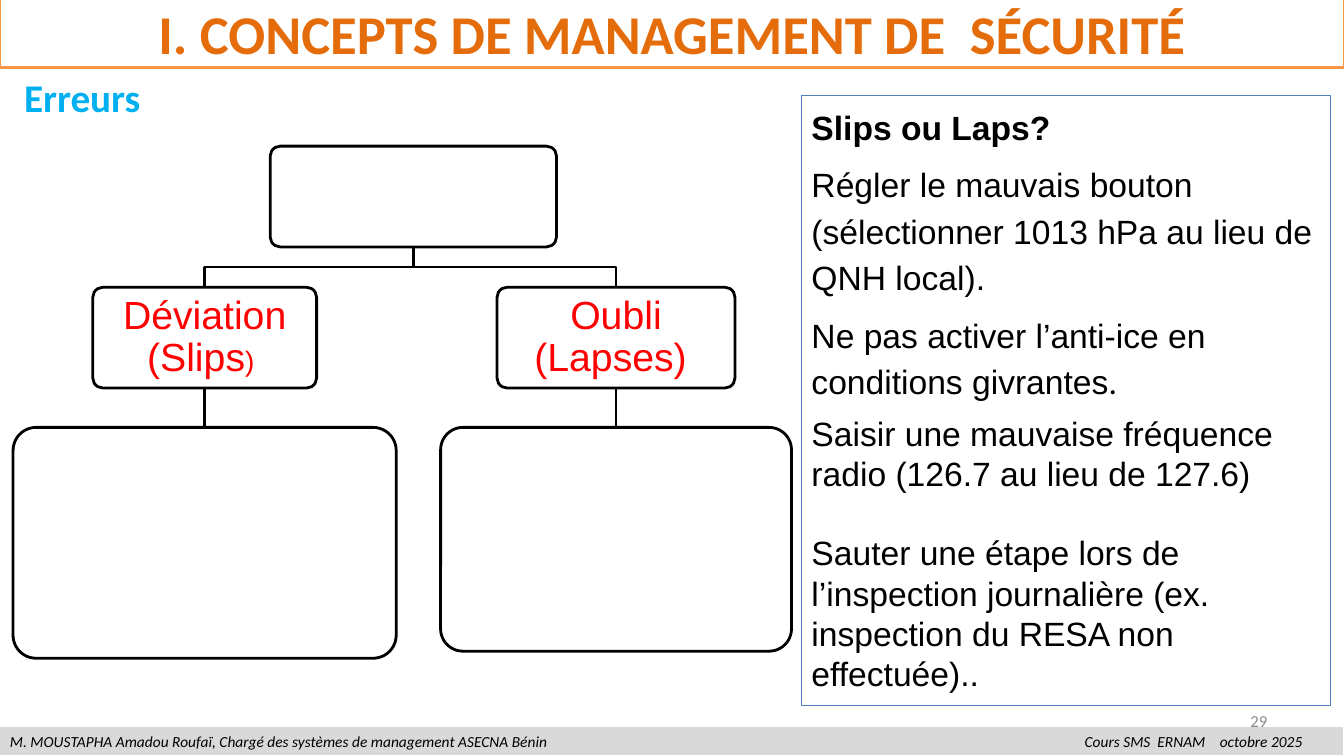
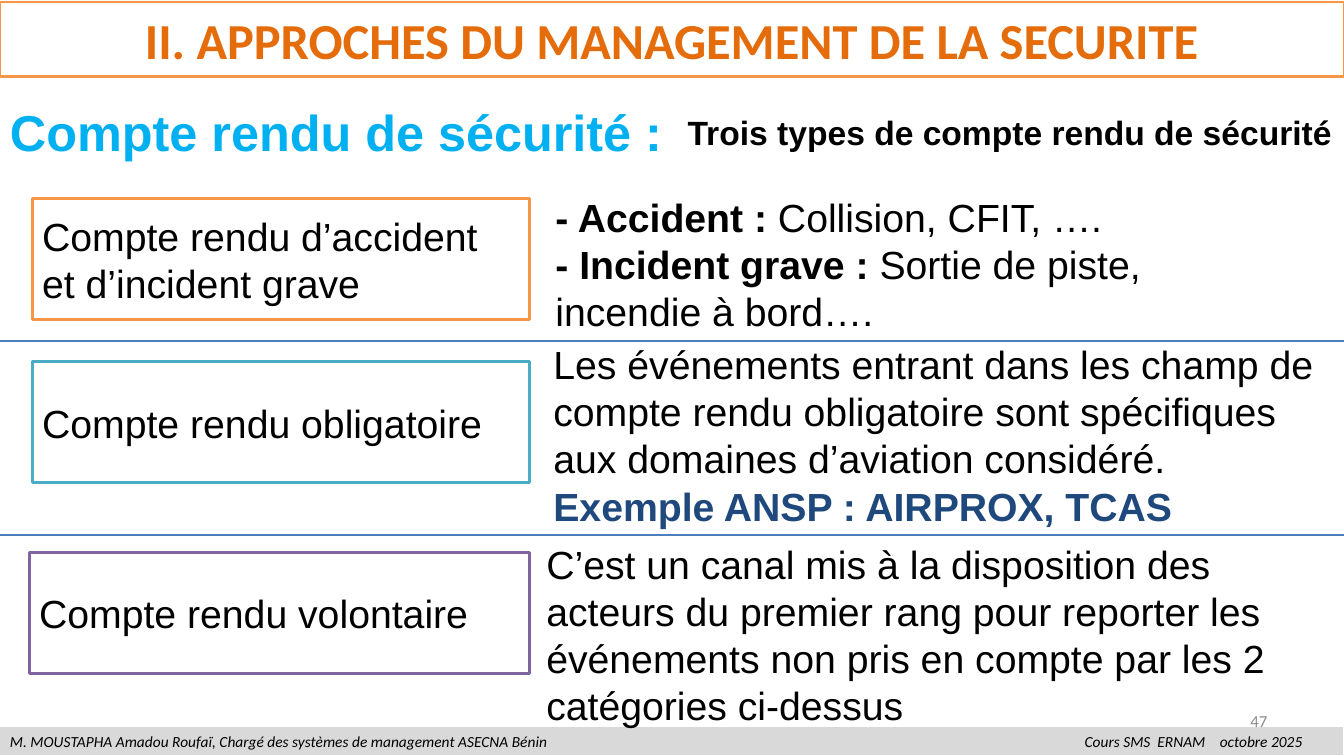
from lxml import etree
from pptx import Presentation
from pptx.dml.color import RGBColor
from pptx.enum import shapes, text
from pptx.oxml import ns
from pptx.util import Inches, Pt

COLOURS = {
    "white": "FFFFFF", "black": "000000", "band": "D9D9D9", "number": "8C8C8C",
    "title": "E46C0A", "orange": "F79646", "heading": "00B0F0", "red": "FF0000",
    "panel": "4F81BD", "divider": "4B7EBC", "teal": "4BACC6", "purple": "8064A2",
    "navy": "1F497D",
}
LEFT, CENTER, RIGHT = text.PP_ALIGN.LEFT, text.PP_ALIGN.CENTER, text.PP_ALIGN.RIGHT
TOP, MIDDLE = text.MSO_ANCHOR.TOP, text.MSO_ANCHOR.MIDDLE
RECT, ROUNDED = shapes.MSO_SHAPE.RECTANGLE, shapes.MSO_SHAPE.ROUNDED_RECTANGLE
WIDTH = 13.33


def colour(name):
    return RGBColor.from_string(COLOURS[name])


def write(box, paragraphs, size, font="Arial", color="black", bold=False,
          italic=False, align=LEFT, anchor=TOP, inset=None):
    frame = box.text_frame
    frame.word_wrap = True
    frame.auto_size = text.MSO_AUTO_SIZE.NONE
    frame.vertical_anchor = anchor
    if inset is not None:
        frame.margin_left = frame.margin_right = Inches(inset)
        frame.margin_top = frame.margin_bottom = Inches(inset)
    for index, runs in enumerate(paragraphs):
        para = frame.add_paragraph() if index else frame.paragraphs[0]
        para.alignment = align
        for words, changes in runs:
            span = para.add_run()
            span.text = words
            span.font.size = Pt(changes.get("size", size))
            span.font.name = changes.get("font", font)
            span.font.bold = changes.get("bold", bold)
            span.font.italic = italic
            span.font.color.rgb = colour(changes.get("color", color))
    return frame.paragraphs


def plain(words, **changes):
    return [(words, changes)]


def paint(box, fill, line, weight):
    if fill:
        box.fill.solid()
        box.fill.fore_color.rgb = colour(fill)
    else:
        box.fill.background()
    box.line.color.rgb = colour(line)
    box.line.width = Pt(weight)
    box.shadow.inherit = False


def add_box(page, place, line, weight=2, fill="white", kind=RECT):
    box = page.shapes.add_shape(kind, *map(Inches, place))
    paint(box, fill, line, weight)
    if kind == ROUNDED:
        box.adjustments[0] = 0.1
    return box


def add_text(page, place, paragraphs, size, **style):
    box = page.shapes.add_textbox(*map(Inches, place))
    return write(box, paragraphs, size, **style)


def add_line(page, start, end, line, weight):
    connector = page.shapes.add_connector(
        shapes.MSO_CONNECTOR.STRAIGHT, *map(Inches, start + end))
    connector.line.color.rgb = colour(line)
    connector.line.width = Pt(weight)
    etree.SubElement(connector._element.spPr, ns.qn("a:effectLst"))
    return connector


def add_tabs(para, stops):
    tabs = etree.SubElement(para._p.get_or_add_pPr(), ns.qn("a:tabLst"))
    for stop in stops:
        etree.SubElement(tabs, ns.qn("a:tab"), pos=str(Inches(stop)), algn="l")


def add_page(deck, title, place, size, number):
    page = deck.slides.add_slide(deck.slide_layouts[5])
    heading = page.shapes.title
    heading.left, heading.top, heading.width, heading.height = map(Inches, place)
    paint(heading, "white", "orange", 2)
    write(heading, [plain(title)], size, font="Calibri", color="title",
          bold=True, align=CENTER, anchor=MIDDLE)
    footer = add_box(page, (0, 7.21, WIDTH, 0.29), "white", 0.75, "band")
    add_tabs(footer.text_frame.paragraphs[0], (10.66, 12))
    write(footer, [plain("M. MOUSTAPHA Amadou Roufaï, Chargé des systèmes de management "
                         "ASECNA Bénin\tCours SMS  ERNAM\toctobre 2025")],
          11, font="Calibri", italic=True)
    add_text(page, (9.56, 6.95, 3.11, 0.4), [plain(number)], 12, font="Calibri",
             color="number", align=RIGHT, anchor=MIDDLE)
    return page


def add_branch(page, root, child_place, label, leaf_place):
    child = add_box(page, child_place, "black", kind=ROUNDED)
    write(child, [label], 28, color="red", align=CENTER, anchor=MIDDLE,
          inset=0.15)[0].line_spacing = 0.9
    leaf = add_box(page, leaf_place, "black", kind=ROUNDED)
    start_x, end_x = (box.left + box.width // 2 for box in (root, child))
    start_y = root.top + root.height
    middle_y = (start_y + child.top) // 2
    builder = page.shapes.build_freeform(start_x, start_y, scale=1.0)
    builder.add_line_segments(
        [(start_x, middle_y), (end_x, middle_y), (end_x, child.top)], close=False)
    paint(builder.convert_to_shape(), None, "black", 2)
    stem = add_line(page, (0, 0), (0, 0), "black", 2)
    stem.begin_connect(child, 2)
    stem.end_connect(leaf, 0)


def build_errors(deck):
    page = add_page(deck, "I. CONCEPTS DE MANAGEMENT DE  SÉCURITÉ",
                    (0, -0.03, WIDTH, 0.7), 39, "29")
    add_text(page, (0.14, 0.68, 1.92, 0.57), [plain("Erreurs")], 28,
             font="Calibri", color="heading", bold=True)
    root = add_box(page, (2.68, 1.45, 2.84, 1), "black", kind=ROUNDED)
    add_branch(page, root, (0.92, 2.85, 2.22, 1),
               [("Déviation (Slips", {}), (") ", {"size": 20})],
               (0.13, 4.24, 3.8, 2.29))
    add_branch(page, root, (4.93, 2.85, 2.36, 1), plain("Oubli (Lapses) "),
               (4.37, 4.24, 3.48, 2.22))
    panel = add_box(page, (7.95, 0.95, 5.25, 6.05), "panel", 0.75, None)
    paragraphs = write(panel, [
        plain("Slips ou Laps?", bold=True),
        plain("Régler le mauvais bouton (sélectionner 1013 hPa au lieu de QNH local)."),
        [("Ne pas activer l’anti-ice en conditions givrantes", {}),
         (".", {"font": "Calibri"})],
        plain("Saisir une mauvaise fréquence radio (126.7 au lieu de 127.6)"),
        plain("Sauter une étape lors de l’inspection journalière "
              "(ex. inspection du RESA non effectuée).."),
    ], 24)
    for para in paragraphs[:3]:
        para.line_spacing = 1.15
        para.space_after = Pt(8)
    paragraphs[-1].space_before = Pt(28)


def build_reports(deck):
    page = add_page(deck, "II. APPROCHES DU MANAGEMENT DE LA SECURITE",
                    (0, 0.02, WIDTH, 0.74), 36, "47")
    add_text(page, (0, 0.95, 7.22, 0.71), [plain("Compte rendu de sécurité :")],
             36, color="heading", bold=True)
    add_text(page, (6.7, 1.06, 6.63, 0.5),
             [plain("Trois types de compte rendu de sécurité")],
             24, bold=True, align=CENTER)
    reports = [
        ("Compte rendu d’accident et d’incident grave", "orange",
         (0.32, 1.97, 4.93, 1.2), (5.41, 1.87, 6.38, 1.51),
         [[("- Accident : ", {"bold": True}), ("Collision, CFIT, ….", {})],
          [("- Incident grave : ", {"bold": True}),
           ("Sortie de piste, incendie à bord….", {})]]),
        ("Compte rendu obligatoire", "teal",
         (0.32, 3.59, 4.93, 1.2), (5.39, 3.33, 7.92, 1.99),
         [plain("Les événements entrant dans les champ de compte rendu obligatoire "
                "sont spécifiques aux domaines d’aviation considéré."),
          plain("Exemple ANSP : AIRPROX, TCAS", bold=True, color="navy")]),
        ("Compte rendu volontaire", "purple",
         (0.29, 5.48, 4.96, 1.2), (5.32, 5.31, 7.92, 1.99),
         [plain("C’est un canal mis à la disposition des acteurs du premier rang "
                "pour reporter les événements non pris en compte par les 2 "
                "catégories ci-dessus")]),
    ]
    for label, line, label_place, detail_place, details in reports:
        box = add_box(page, label_place, line)
        write(box, [plain(label)], 28, anchor=MIDDLE)
        add_text(page, detail_place, details, 28)
    for height in (3.38, 5.31):
        add_line(page, (0, height), (WIDTH, height), "divider", 1.5)


def main():
    deck = Presentation()
    deck.slide_width, deck.slide_height = Inches(WIDTH), Inches(7.5)
    build_errors(deck)
    build_reports(deck)
    deck.save("out.pptx")


if __name__ == "__main__":
    main()
